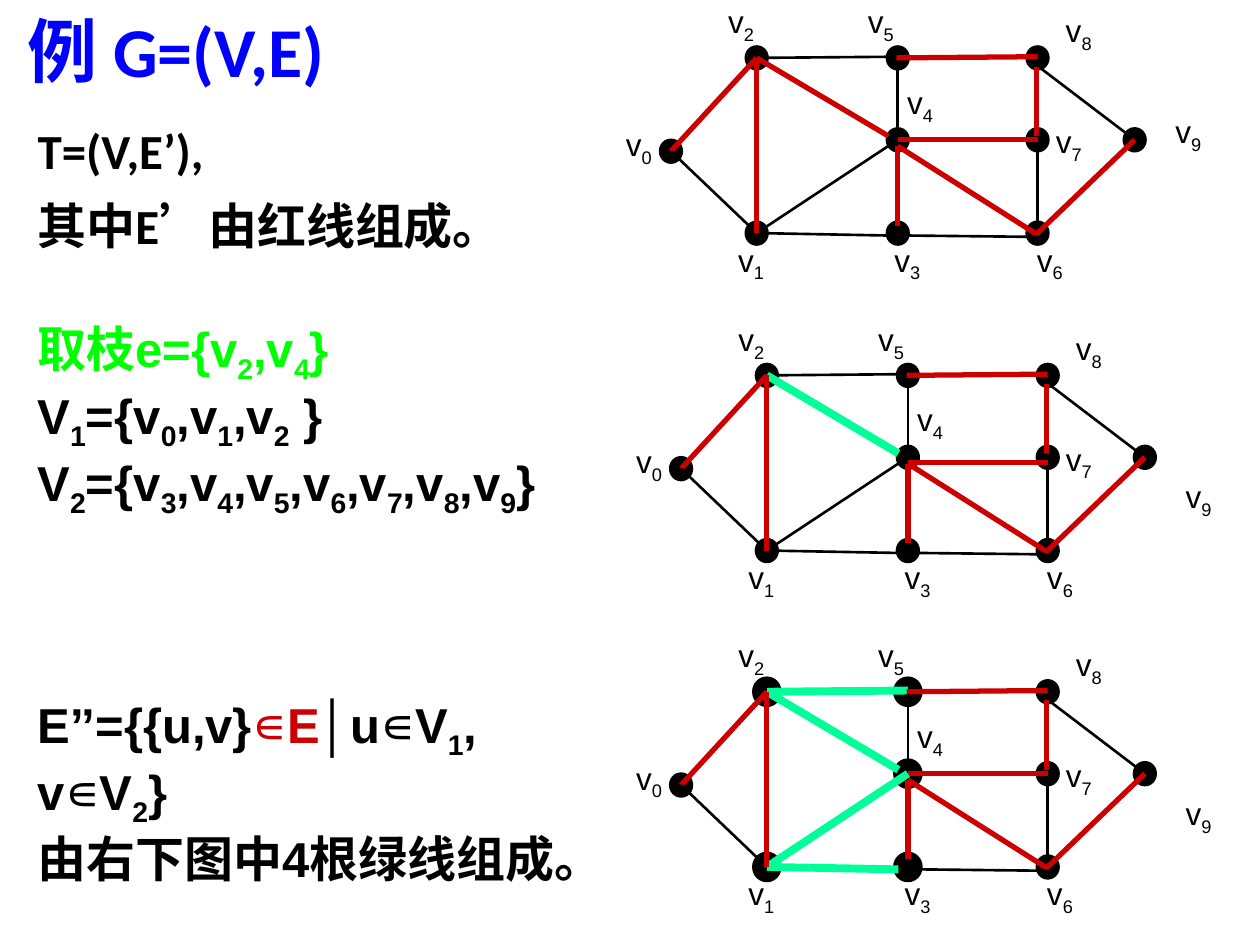
from lxml import etree
from pptx import Presentation
from pptx.dml.color import RGBColor
from pptx.enum import shapes, text
from pptx.oxml.ns import qn
from pptx.util import Pt

BLACK, RED, GREEN = "000000", "CC0000", "00FF99"
LIME, BLUE = "00FF00", "0000FF"

# Centre of each vertex and corner of its label, relative to the graph's box
VERTICES = {0: (33.4, 86.4), 1: (82.4, 133.2), 2: (82.4, 33.1), 3: (163, 133.2),
            4: (163, 79.9), 5: (163, 33.1), 6: (242.9, 133.2), 7: (242.9, 79.9),
            8: (242.9, 33.1), 9: (298.4, 79.9)}
LABELS = {0: (0.6, 67.7), 1: (64.7, 133.9), 2: (59, -2.2), 3: (154, 133.9),
          4: (161.2, 43.9), 5: (138.9, -2.2), 6: (235.4, 133.9), 7: (246.2, 66.2),
          8: (251.9, 2.9), 9: (314.6, 60.5)}
# Edges in drawing order: vertices, then the shift of each end from the centre
EDGES = [(2, 0, (0, 0), (0, 0)), (0, 1, (0, 0), (0, 0)),
         (2, 5, (0, 0), (0, -0.7)), (1, 3, (0, 0), (-5.4, 1.4)),
         (5, 3, (0, 0), (0, 0)), (8, 6, (0, 0), (0, 0)),
         (2, 4, (0, 0), (-5.4, -2.2)), (4, 7, (0, 0), (0, 0)),
         (8, 9, (-6, 0), (0, 0)), (9, 6, (0, 0), (0, 0)),
         (4, 1, (0, 0), (0, 0)), (2, 1, (0, 0), (0, 0)),
         (4, 3, (0, 3.6), (0, -4.3)), (8, 7, (-0.5, 5), (-0.5, -2.2)),
         (5, 8, (-0.7, 0), (0, -0.7)), (4, 6, (0, 3.6), (0.7, 1.4)),
         (3, 6, (6.1, 1.4), (0.7, 2.2))]
TREE = {(2, 0), (2, 4), (4, 7), (9, 6), (2, 1), (4, 3), (8, 7), (5, 8), (4, 6)}


def rgb(value):
    return RGBColor.from_string(value)


def add_text_frame(slide, left, top, width, height, wrap=True):
    frame = slide.shapes.add_textbox(Pt(left), Pt(top), Pt(width), Pt(height)).text_frame
    frame.word_wrap = wrap
    return frame


def style(font, size, color, bold=False, name="Arial"):
    font.name, font.size, font.bold = name, Pt(size), bold
    font.color.rgb = rgb(color)


def add_math(paragraph, formula, size, color, bold=False):
    """Add runs; the digit after each underscore is a subscript."""
    first, *rest = formula.split("_")
    pieces = [(first, False)]
    for part in rest:
        pieces += [(part[0], True), (part[1:], False)]
    for piece, lowered in pieces:
        if piece:
            run = paragraph.add_run()
            run.text = piece
            style(run.font, size, color, bold)
            if lowered:
                run.font._element.set("baseline", "-25000")


def add_heading(slide, left, top, width, height):
    frame = add_text_frame(slide, left, top, width, height)
    frame.vertical_anchor = text.MSO_ANCHOR.MIDDLE
    frame.text = "例 G=(V,E)"
    style(frame.paragraphs[0].runs[0].font, 40, BLUE, True, "Calibri")


def add_tree_definition(slide, left, top, width, height):
    frame = add_text_frame(slide, left, top, width, height)
    frame.text = "T=(V,E’),\n其中E’由红线组成。"
    for paragraph in frame.paragraphs:
        properties = paragraph._p.get_or_add_pPr()
        properties.set("marL", str(Pt(27)))
        properties.set("indent", str(-Pt(27)))
        paragraph.line_spacing = 1.1
        style(paragraph.runs[0].font, 28, BLACK, True, "Calibri")
    frame.paragraphs[1].space_before = Pt(5.6)


def add_cut_set(slide, left, top, width, height):
    lines = [
        [("取枝e={v_2,v_4}", LIME, True)],
        [("V_1={v_0,v_1,v_2 }", BLACK, True)],
        [("V_2={v_3,v_4,v_5,v_6,v_7,v_8,v_9}", BLACK, True)],
        [("E’’={{u,v}", BLACK, True), ("∊", RED, False), ("E", RED, True),
         ("│u", BLACK, True), ("∊", BLACK, False), ("V_1, v", BLACK, True),
         ("∊", BLACK, False), ("V_2}", BLACK, True)],
        [("由右下图中4根绿线组成。", BLACK, True)],
    ]
    frame = add_text_frame(slide, left, top, width, height)
    for number, line in enumerate(lines):
        paragraph = frame.add_paragraph() if number else frame.paragraphs[0]
        for formula, color, bold in line:
            add_math(paragraph, formula, 28, color, bold)
    frame.paragraphs[3].space_before = Pt(100)


def add_edge(slide, start, end, color, width):
    edge = slide.shapes.add_connector(
        shapes.MSO_CONNECTOR.STRAIGHT, *(Pt(value) for value in (*start, *end)))
    edge.line.color.rgb = rgb(color)
    edge.line.width = Pt(width)
    etree.SubElement(edge._element.spPr, qn("a:effectLst"))


def add_graph(slide, left, top, cut=(), bold_vertices=(), v9_drop=0, v7_drop=0):
    # Vertex labels
    for vertex, (x, y) in LABELS.items():
        drop = v9_drop if vertex == 9 else 0
        frame = add_text_frame(slide, left + x, top + y + drop, 30.2, 29, wrap=False)
        add_math(frame.paragraphs[0], f"v_{vertex}", 18, BLACK)
    # Vertices
    for vertex, (x, y) in VERTICES.items():
        dot = slide.shapes.add_shape(
            shapes.MSO_SHAPE.OVAL, Pt(left + x - 6.2), Pt(top + y - 6.5), Pt(12.4), Pt(13))
        dot.shadow.inherit = False
        dot.fill.solid()
        dot.fill.fore_color.rgb = rgb(BLACK)
        dot.line.color.rgb = rgb(BLACK)
        dot.line.width = Pt(4.5 if vertex in bold_vertices else 1.5)
    # Edges: cut edges green, tree branches red, the rest black
    for a, b, shift_a, shift_b in EDGES:
        drop = v7_drop if (a, b) == (4, 7) else 0
        start, end = (
            (left + VERTICES[v][0] + dx, top + VERTICES[v][1] + dy + drop)
            for v, (dx, dy) in ((a, shift_a), (b, shift_b)))
        if (a, b) in cut:
            color, width = GREEN, 4.5
        elif (a, b) in TREE:
            color, width = RED, 3
        else:
            color, width = BLACK, 1.5
        add_edge(slide, start, end, color, width)


def main():
    deck = Presentation()
    deck.slide_width, deck.slide_height = Pt(720), Pt(540)
    slide = deck.slides.add_slide(deck.slide_layouts[6])
    add_heading(slide, 8.6, 2.9, 215.3, 50.4)
    add_tree_definition(slide, 14.4, 62, 260.6, 90)
    add_cut_set(slide, 14.4, 178.6, 342.7, 278.6)
    add_graph(slide, 350, 0)
    add_graph(slide, 355.8, 181.4, cut={(2, 4)}, v9_drop=27.4, v7_drop=2.9)
    add_graph(slide, 355.8, 362.2, cut={(2, 4), (2, 5), (1, 3), (4, 1)},
              bold_vertices={1, 2, 3, 4, 5}, v9_drop=27.4)
    deck.save("out.pptx")


if __name__ == "__main__":
    main()
